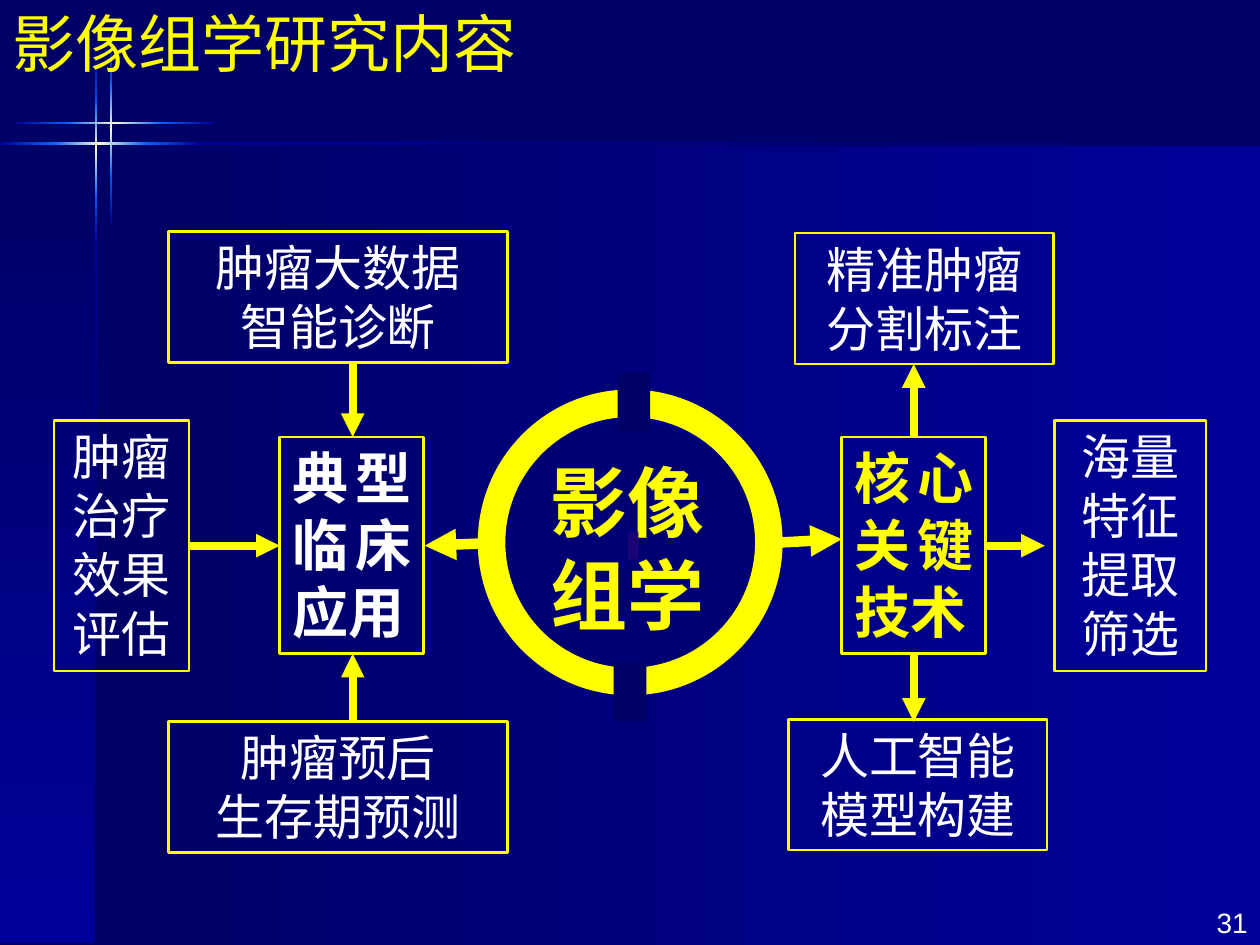
from dataclasses import dataclass
from typing import Optional

from lxml.etree import SubElement
from pptx import Presentation
from pptx.dml.color import RGBColor
from pptx.enum.shapes import MSO_CONNECTOR, MSO_SHAPE
from pptx.enum.text import MSO_ANCHOR, PP_ALIGN
from pptx.oxml.ns import qn
from pptx.util import Cm, Pt

RECT, OVAL = MSO_SHAPE.RECTANGLE, MSO_SHAPE.OVAL
LINE = MSO_CONNECTOR.STRAIGHT
TOP, MID = MSO_ANCHOR.TOP, MSO_ANCHOR.MIDDLE
LEFT, RIGHT = PP_ALIGN.LEFT, PP_ALIGN.RIGHT
CENTER, FULL = PP_ALIGN.CENTER, PP_ALIGN.JUSTIFY

NAVY, BLUE, AZURE, CREAM = "000066", "000099", "0066FF", "FFFFCC"
YELLOW, WHITE = "FFFF00", "FFFFFF"
RISE, FALL = (NAVY, BLUE), (BLUE, NAVY)
THIN = 0.05


@dataclass
class Bar:
    x: float
    y: float
    w: float
    h: float
    tones: tuple
    down: bool = False


@dataclass
class Box:
    x: float
    y: float
    w: float
    h: float
    text: str = ""
    size: int = 28
    tint: str = WHITE
    bold: bool = False
    align: PP_ALIGN = CENTER
    anchor: MSO_ANCHOR = TOP
    form: MSO_SHAPE = RECT
    fill: Optional[str] = None
    edge: Optional[float] = 1.5


@dataclass
class Arrow:
    x1: float
    y1: float
    x2: float
    y2: float
    width: float = 4.5


PANELS = [
    Bar(1.91, 2.95, 23.49, 16.1, RISE),
    Bar(0, 2.92, 1.91, 16.1, RISE, True),
    Bar(1.91, 0.05, THIN, 3.07, RISE, True),
    Bar(1.91, 4.93, THIN, 11.89, FALL, True),
    Bar(3.89, 2.87, 20.9, THIN, FALL),
]

BEAMS = [
    (2.9, 3.81, 1.12, (AZURE, BLUE)),
    (0, 1.12, 1.12, (BLUE, AZURE)),
    (1.09, 2.08, 1.85, (AZURE, CREAM, AZURE)),
]

BOXES = [
    Box(5.64, 8.81, 2.9, 4.37, "典型临床应用", 32, WHITE, True, FULL),
    Box(16.97, 8.81, 2.9, 4.37, "核心关键技术", 32, YELLOW, True, FULL),
    Box(9.83, 8.53, 5.66, 5, "影像组学", 44, YELLOW, True, CENTER, MID,
        OVAL, "000073", None),
    Box(12.67, 10.72, 0.2, 0.56, fill="1C0476", edge=None),
    Box(3.4, 4.67, 6.83, 2.64, "肿瘤大数据\n智能诊断"),
    Box(1.09, 8.48, 2.72, 5.05, "肿瘤治疗效果评估"),
    Box(3.4, 14.55, 6.83, 2.64, "肿瘤预后\n生存期预测"),
    Box(16.03, 4.7, 5.21, 2.64, "精准肿瘤\n分割标注"),
    Box(21.26, 8.48, 3.05, 5.05, "海量特征提取筛选"),
    Box(15.9, 14.5, 5.21, 2.64, "人工智能\n模型构建"),
]

ARROWS = [
    Arrow(9.91, 10.95, 8.56, 11, 6),
    Arrow(15.49, 10.95, 16.97, 10.87, 6),
    Arrow(7.11, 7.34, 7.11, 8.81),
    Arrow(3.81, 11, 5.64, 11),
    Arrow(7.11, 14.55, 7.11, 13.18),
    Arrow(18.42, 8.81, 18.42, 7.34),
    Arrow(19.86, 11, 21.06, 11),
    Arrow(18.42, 13.18, 18.42, 14.55),
]

RING = [
    Box(9.91, 8.13, 5.59, 5.61, form=OVAL, edge=15.75),
    Box(12.7, 13.36, 0.2, 0.56, fill="1C0476", edge=None),
    Box(12.45, 7.52, 0.66, 1.19, fill=NAVY, edge=None),
    Box(12.37, 13.36, 0.66, 1.19, fill=NAVY, edge=None),
]


def paint(color, tone: str) -> None:
    color.rgb = RGBColor.from_string(tone)


def write(frame, text: str, size: int, tint: str, bold: bool,
          align: PP_ALIGN, anchor: MSO_ANCHOR) -> None:
    frame.text = text
    frame.word_wrap = True
    frame.vertical_anchor = anchor
    for para in frame.paragraphs:
        para.alignment = align
        para.font.name = "Arial"
        para.font.size = Pt(size)
        para.font.bold = bold
        paint(para.font.color, tint)


def draw_bar(slide, bar: Bar) -> None:
    shape = slide.shapes.add_shape(
        RECT, Cm(bar.x), Cm(bar.y), Cm(bar.w), Cm(bar.h))
    shape.shadow.inherit = False
    shape.line.fill.background()
    shape.fill.gradient()
    shape.fill.gradient_angle = 270 if bar.down else 0
    stops = shape._element.spPr.find(".//" + qn("a:gsLst"))
    stops.clear()
    step = 100000 // (len(bar.tones) - 1)
    for i, tone in enumerate(bar.tones):
        stop = SubElement(stops, qn("a:gs"), pos=str(i * step))
        SubElement(stop, qn("a:srgbClr"), val=tone)


def draw_cross(slide, dx: float, dy: float) -> None:
    for x, y, size, tones in BEAMS:
        draw_bar(slide, Bar(x + dx, 2.87 + dy, size, THIN, tones))
        draw_bar(slide, Bar(1.91 + dx, y + dy, THIN, size, tones, True))


def draw_box(slide, box: Box) -> None:
    shape = slide.shapes.add_shape(
        box.form, Cm(box.x), Cm(box.y), Cm(box.w), Cm(box.h))
    shape.shadow.inherit = False
    if box.fill:
        shape.fill.solid()
        paint(shape.fill.fore_color, box.fill)
    else:
        shape.fill.background()
    if box.edge:
        paint(shape.line.color, YELLOW)
        shape.line.width = Pt(box.edge)
    else:
        shape.line.fill.background()
    if box.text:
        write(shape.text_frame, box.text, box.size, box.tint, box.bold,
              box.align, box.anchor)


def draw_arrow(slide, arrow: Arrow) -> None:
    link = slide.shapes.add_connector(
        LINE, Cm(arrow.x1), Cm(arrow.y1), Cm(arrow.x2), Cm(arrow.y2))
    paint(link.line.color, YELLOW)
    link.line.width = Pt(arrow.width)
    SubElement(link.line._get_or_add_ln(), qn("a:tailEnd"), type="triangle")
    SubElement(link._element.spPr, qn("a:effectLst"))


def main() -> None:
    deck = Presentation()
    deck.slide_width, deck.slide_height = Cm(25.4), Cm(19.05)
    slide = deck.slides.add_slide(deck.slide_layouts[5])
    slide.background.fill.solid()
    paint(slide.background.fill.fore_color, NAVY)

    for bar in PANELS:
        draw_bar(slide, bar)
    for dx, dy in ((0, 0), (0.3, -0.41)):
        draw_cross(slide, dx, dy)

    page = slide.shapes.add_textbox(Cm(22.91), Cm(18.14), Cm(2.49), Cm(0.94))
    write(page.text_frame, "31", 16, WHITE, False, RIGHT, TOP)

    for box in BOXES:
        draw_box(slide, box)
    for arrow in ARROWS:
        draw_arrow(slide, arrow)
    for box in RING:
        draw_box(slide, box)

    title = slide.shapes.title
    title.left, title.top = Cm(0), Cm(-0.03)
    title.width, title.height = Cm(25.3), Cm(1.8)
    write(title.text_frame, "影像组学研究内容", 36, YELLOW, False, LEFT, TOP)
    slide.shapes._spTree.append(title._element)
    deck.save("out.pptx")


if __name__ == "__main__":
    main()
